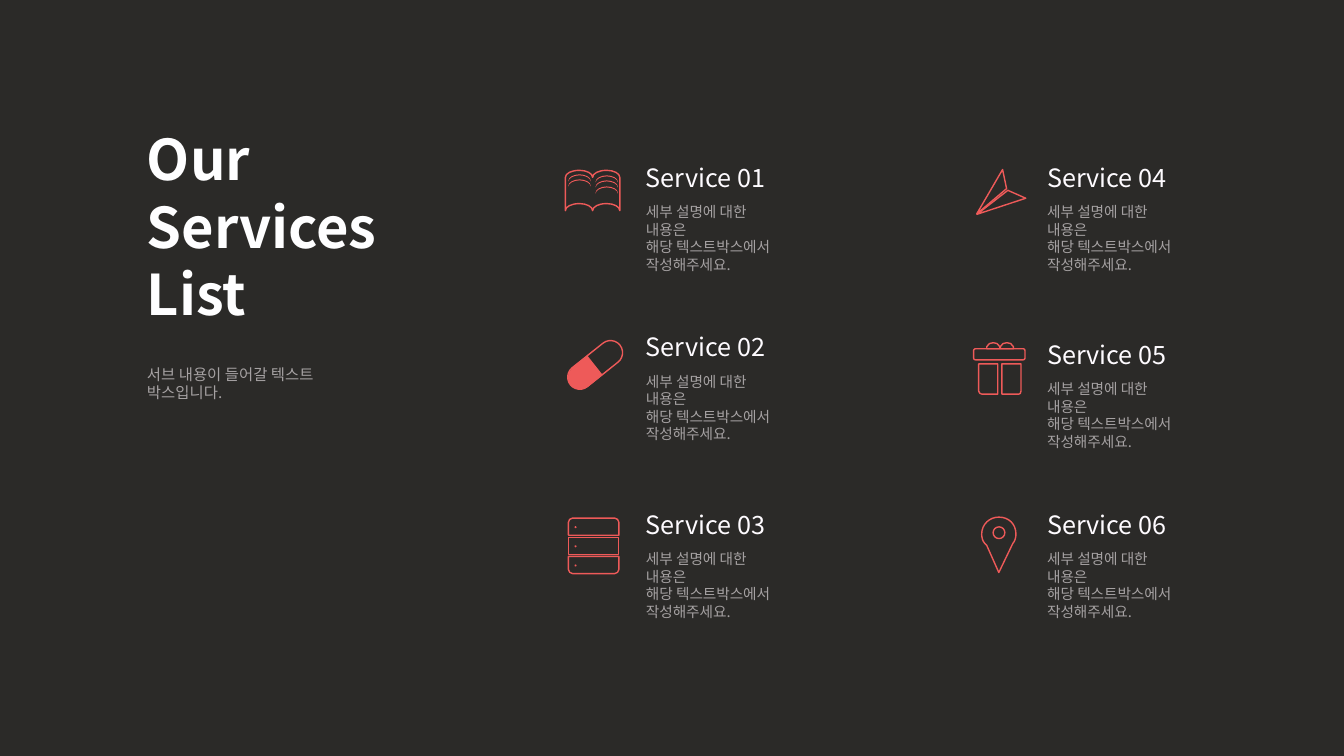
from lxml.etree import SubElement
from pptx import Presentation
from pptx.dml.color import RGBColor
from pptx.enum.shapes import MSO_SHAPE
from pptx.enum.text import MSO_ANCHOR, MSO_AUTO_SIZE, PP_ALIGN
from pptx.oxml.ns import qn
from pptx.util import Cm, Pt

FONT = "Noto Sans CJK KR"
UNIT = 0.0254
HUE = {"back": "2B2A28", "head": "FEFEFF", "name": "FEFBFF", "note": "A5A1A2", "icon": "EE5A59"}


def write(text, box, at, size, hue, bold=False):
    box.left, box.top, box.width, box.height = [Cm(v) for v in at]
    frame = box.text_frame
    frame.text = text
    frame.word_wrap = True
    frame.auto_size = MSO_AUTO_SIZE.NONE
    frame.vertical_anchor = MSO_ANCHOR.TOP
    for para in frame.paragraphs:
        para.alignment = PP_ALIGN.LEFT
        para.space_before = Pt(0)
        props = para._p.get_or_add_pPr()
        props.set("marL", "0")
        props.set("indent", "0")
        SubElement(props, qn("a:buNone"))
        for run in para.runs:
            font = run.font
            font.name, font.size, font.bold = FONT, Pt(size), bold
            font.color.rgb = RGBColor.from_string(HUE[hue])
            SubElement(run._r.get_or_add_rPr(), qn("a:ea"), typeface=FONT)


def trace(*paths):
    build = None
    for path in paths:
        x, y = [Cm(v * UNIT) for v in path[0]]
        if build is None:
            build = shapes.build_freeform(x, y)
        else:
            build.move_to(x, y)
        flat = [Cm(v * UNIT) for step in path[1:] for v in step]
        build.add_line_segments(list(zip(flat[::2], flat[1::2])), close=True)
    shape = build.convert_to_shape()
    lines = list(shape._element.iter(qn("a:lnTo")))
    for step in [step for path in paths for step in path[1:]]:
        first = lines.pop(0)
        if len(step) == 6:
            first.tag = qn("a:cubicBezTo")
            for _ in range(2):
                extra = lines.pop(0)
                first.append(extra[0])
                extra.getparent().remove(extra)
    return shape


deck = Presentation()
deck.slide_width, deck.slide_height = Cm(33.87), Cm(19.05)
slide = deck.slides.add_slide(deck.slide_layouts[1])
slide.background.fill.solid()
slide.background.fill.fore_color.rgb = RGBColor.from_string(HUE["back"])
shapes = slide.shapes

write("Our\nServices\nList", shapes.title, (3.45, 3.02, 6.35, 5.38), size=40, hue="head", bold=True)
write("서브 내용이 들어갈 텍스트 박스입니다.", slide.placeholders[1], (3.45, 9.07, 6.2, 0.74), size=11, hue="note")

spots = [(16.03, 3.96), (16.03, 8.23), (16.03, 12.7), (26.14, 3.96), (26.14, 8.42), (26.14, 12.7)]
for num, (x, y) in enumerate(spots, 1):
    write(f"Service {num:02}", shapes.add_textbox(0, 0, 0, 0), (x, y, 3.65, 1.02), size=18, hue="name")
    write("세부 설명에 대한 내용은\n해당 텍스트박스에서\n작성해주세요.", shapes.add_textbox(0, 0, 0, 0),
          (x, y + 1.03, 4.04, 1.6), size=10.5, hue="note")

book = trace([(575, 169), (582, 169, 588, 172, 588, 176), (588, 172, 594, 169, 602, 169),
              (609, 169, 615, 172, 615, 176), (615, 209), (615, 205, 609, 202, 602, 202),
              (594, 202, 588, 205, 588, 209), (588, 205, 582, 202, 575, 202),
              (567, 202, 561, 205, 561, 209), (561, 176), (561, 172, 567, 169, 575, 169)])
rack = trace([(564, 552), (614, 552), (614, 565), (614, 567, 612, 569, 610, 569), (568, 569),
              (566, 569, 564, 567, 564, 565)],
             [(568, 514), (610, 514), (612, 514, 614, 516, 614, 518), (614, 531), (564, 531),
              (564, 518), (564, 516, 566, 514, 568, 514)])
gift = trace([(994, 361), (1013, 361), (1013, 388), (1013, 390, 1012, 391, 1011, 391), (994, 391)],
             [(971, 361), (990, 361), (990, 391), (974, 391), (973, 391, 971, 390, 971, 388)])
pin = trace([(991.2, 522.7), (988, 522.7, 985.4, 525.3, 985.4, 528.5),
             (985.4, 531.7, 988, 534.3, 991.2, 534.3), (994.4, 534.3, 997, 531.7, 997, 528.5),
             (997, 525.3, 994.4, 522.7, 991.2, 522.7)],
            [(991, 513), (1001, 513, 1008, 520, 1008, 530), (1008, 533, 1007, 537, 1005, 539),
             (1004, 541), (991, 568), (979, 541), (977, 539), (975, 537, 974, 533, 974, 530),
             (974, 520, 982, 513, 991, 513)])
open_set = [book, rack, gift, pin]
for x in (985.5, 999):
    open_set.append(trace([(x, 340), (x + 3, 340, x + 5, 341, x + 6.5, 344), (x + 6.5, 346),
                           (x - 6.5, 346), (x - 6.5, 344), (x - 5, 341, x - 3, 340, x, 340)]))

full_set = [trace([(568, 365), (583, 353), (598, 372), (583, 384), (578, 388, 570, 387, 566, 382),
                   (562, 377, 563, 369, 568, 365)])]
for x, y in [(602, 174), (602, 179), (602, 185), (575, 173), (575, 178)]:
    full_set.append(trace([(x, y), (x + 6, y, x + 11, y + 3, x + 11, y + 6), (x + 11, y + 7),
                           (x + 11, y + 4, x + 6, y + 1, x, y + 1),
                           (x - 6, y + 1, x - 11, y + 4, x - 11, y + 7), (x - 11, y + 6),
                           (x - 11, y + 3, x - 6, y, x, y)]))

parts = [
    (MSO_SHAPE.ROUNDED_RECTANGLE, (559, 350, 63, 24), 321.4, 0.5),
    (MSO_SHAPE.RECTANGLE, (564, 533, 50, 17), 0, None),
    (MSO_SHAPE.ISOSCELES_TRIANGLE, (962, 187, 51, 13), 120.2, 0.282),
    (MSO_SHAPE.ISOSCELES_TRIANGLE, (966, 192, 51, 13), 341.8, 0.718),
    (MSO_SHAPE.ROUNDED_RECTANGLE, (966, 346, 51, 11), 0, 0.167),
]
for kind, at, turn, bend in parts:
    part = shapes.add_shape(kind, *[Cm(v * UNIT) for v in at])
    part.rotation = turn
    if bend is not None:
        part.adjustments[0] = bend
    open_set.append(part)
for row in range(3):
    full_set.append(shapes.add_shape(MSO_SHAPE.OVAL, *[Cm(v * UNIT) for v in (570, 522 + 19 * row, 2, 2)]))

for part in open_set:
    part.fill.background()
    part.line.color.rgb = RGBColor.from_string(HUE["icon"])
    part.line.width = Pt(1)
for part in full_set:
    part.fill.solid()
    part.fill.fore_color.rgb = RGBColor.from_string(HUE["icon"])
    part.line.fill.background()
for part in open_set + full_set:
    part.shadow.inherit = False

deck.save("out.pptx")
